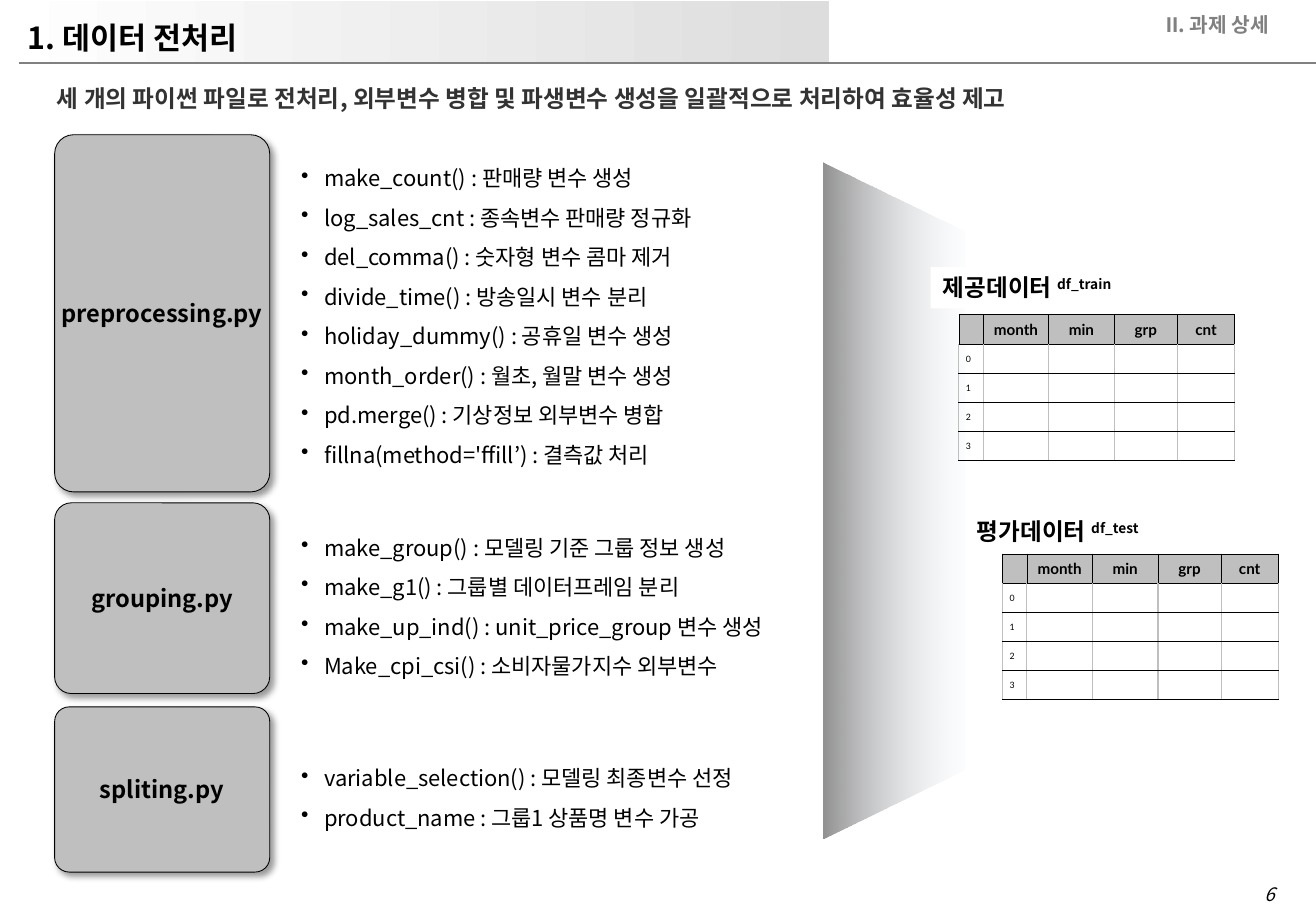
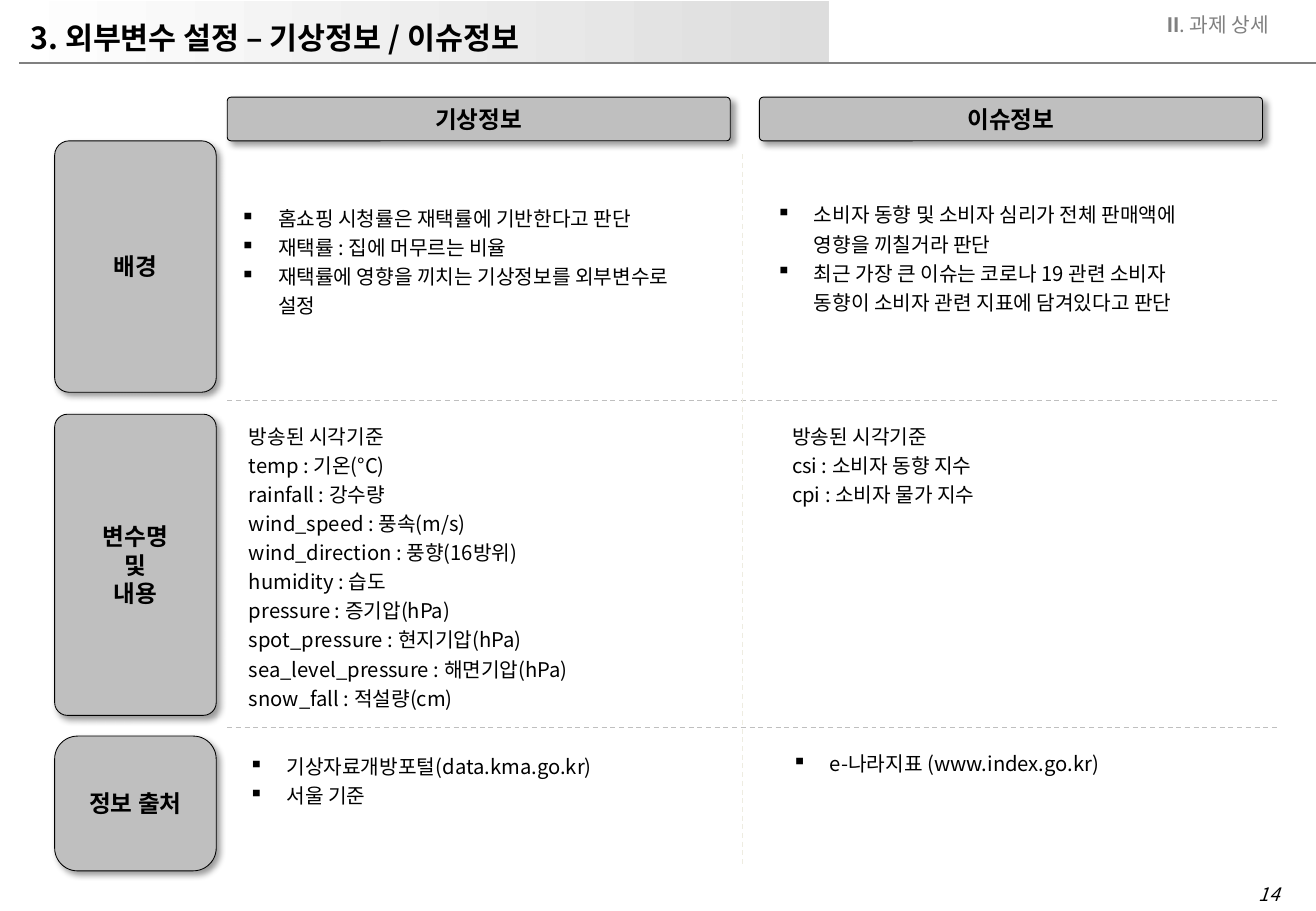
from lxml.etree import SubElement
from pptx import Presentation
from pptx.dml.color import RGBColor
from pptx.enum.dml import MSO_LINE
from pptx.enum.shapes import MSO_CONNECTOR, MSO_SHAPE as Preset
from pptx.enum.text import MSO_ANCHOR as Anchor, MSO_AUTO_SIZE as AutoSize, PP_ALIGN as Align
from pptx.oxml.ns import qn
from pptx.util import Pt

PX = 9144  # 100 px to the inch
FONT, TABLE_FONT = "Noto Sans CJK KR", "Lato"
BLACK, WHITE, PANEL, RULE = "000000", "FFFFFF", "BFBFBF", "808080"
PAGE_WIDTH, PAGE_HEIGHT = 1083, 750
PANEL_LEFT = 45


def px(*lengths):
    return [length * PX for length in lengths]


def rgb(value):
    return RGBColor.from_string(value)


# Text helpers
def style_paragraph(para, size, color=BLACK, bold=False, italic=False, align=Align.LEFT,
                    spacing=None, bullet=None, indent=(0, 0), name=FONT):
    para.alignment = align
    if spacing:
        para.line_spacing = spacing
    font = para.font
    font.size, font.bold, font.italic, font.name = Pt(size), bold, italic, name
    font.color.rgb = rgb(color)
    props = para._p.get_or_add_pPr()
    defaults = props.find(qn("a:defRPr"))
    SubElement(defaults, qn("a:ea"), typeface=name)
    margin, first = px(*indent)
    props.set("marL", str(margin))
    props.set("indent", str(first))
    if bullet:
        mark = SubElement(props, qn("a:buChar"), char=bullet)
        defaults.addprevious(mark)


def write(frame, lines, size, **style):
    for index, line in enumerate(lines):
        para = frame.add_paragraph() if index else frame.paragraphs[0]
        para.add_run().text = line
        style_paragraph(para, size, **style)


def raise_span(span):
    span._r.get_or_add_rPr().set("baseline", "30000")


def add_text(page, box, lines, size, wrap=True, anchor=Anchor.TOP, **style):
    frame = page.shapes.add_textbox(*px(*box)).text_frame
    frame.word_wrap = wrap
    frame.vertical_anchor = anchor
    write(frame, lines, size, **style)
    return frame


# Shape helpers
def add_plain(page, preset, box, fill=None):
    shape = page.shapes.add_shape(preset, *px(*box))
    shape.shadow.inherit = False
    shape.line.fill.background()
    if fill:
        shape.fill.solid()
        shape.fill.fore_color.rgb = rgb(fill)
    return shape


def fill_gradient(shape, stops, angle):
    shape.fill.gradient()
    shape.fill.gradient_angle = angle
    for stop, (color, _) in zip(shape.fill.gradient_stops, stops):
        stop.color.rgb = rgb(color)
    colors = shape._element.spPr.find(qn("a:gradFill")).iter(qn("a:srgbClr"))
    for node, (_, opacity) in zip(colors, stops):
        if opacity < 100:
            SubElement(node, qn("a:alpha"), val=str(opacity * 1000))


def add_line(page, start, end, color, width, dash=None):
    line = page.shapes.add_connector(MSO_CONNECTOR.STRAIGHT, *px(*start, *end))
    line.line.color.rgb = rgb(color)
    line.line.width = Pt(width)
    if dash:
        line.line.dash_style = dash
    SubElement(line._element.spPr, qn("a:effectLst"))


def add_panel(page, box, lines, corner=0.088):
    """Grey rounded heading with a soft shadow."""
    panel = add_plain(page, Preset.ROUNDED_RECTANGLE, box, PANEL)
    panel.adjustments[0] = corner
    panel.line.color.rgb = rgb(BLACK)
    panel.line.width = Pt(0.5)
    effects = panel._element.spPr.find(qn("a:effectLst"))
    shadow = SubElement(effects, qn("a:outerShdw"), blurRad=str(Pt(4)), dist=str(Pt(3)),
                        dir="2700000", algn="tl", rotWithShape="0")
    color = SubElement(shadow, qn("a:srgbClr"), val=BLACK)
    SubElement(color, qn("a:alpha"), val="40000")
    frame = panel.text_frame
    frame.word_wrap = True
    frame.vertical_anchor = Anchor.MIDDLE
    frame.margin_left = frame.margin_right = 0
    frame.margin_top, frame.margin_bottom = px(8, 8)
    write(frame, lines, 14, bold=True, align=Align.CENTER, indent=(10, -10))


# Title band, section label and page number of every slide
def start_page(deck, title, title_left, title_width, number, bold_section):
    page = deck.slides.add_slide(deck.slide_layouts[5])
    band = add_plain(page, Preset.RECTANGLE, (0, 1, 682, 51))
    fill_gradient(band, [(WHITE, 100), ("DDDDDD", 100)], 0)
    add_line(page, (16, 52), (PAGE_WIDTH, 52), RULE, 1.5)

    holder = page.shapes.title
    holder.left, holder.top, holder.width, holder.height = px(title_left, 11, title_width, 40)
    frame = holder.text_frame
    frame.word_wrap = False
    frame.auto_size = AutoSize.NONE
    frame.vertical_anchor = Anchor.TOP
    write(frame, [title], 18, bold=True)
    page.shapes._spTree.append(holder._element)  # bring the title above the band

    add_text(page, (938, 5, 116, 30), ["𝐈𝐈. 과제 상세"], 12, wrap=False,
             color=RULE, bold=bold_section, align=Align.RIGHT)
    footer = add_text(page, (1029, 722, 31, 29), [str(number)], 11, wrap=False,
                      italic=True, align=Align.CENTER)
    footer.margin_left, footer.margin_right = px(6, 6)
    return page


# Script file with the list of its functions
def add_file_block(page, top, height, name, list_offset, items):
    add_panel(page, (PANEL_LEFT, top, 177, height), [name])
    list_box = (PANEL_LEFT + 191, top + list_offset, 452, 33 * len(items) + 6)
    add_text(page, list_box, items, 13, spacing=1.5, bullet="•", indent=(21, -19))


# Data table with its caption
def set_borders(cell, sides):
    props = cell._tc.get_or_add_tcPr()
    for side, (color, width) in sides.items():
        line = SubElement(props, qn("a:ln" + side), w=str(Pt(width)))
        fill = SubElement(line, qn("a:solidFill"))
        SubElement(fill, qn("a:srgbClr"), val=color)


def add_data_table(page, left, top):
    widths = [20, 54, 54, 52, 47]
    rows = [["", "month", "min", "grp", "cnt"]] + [[str(n), "", "", "", ""] for n in range(4)]
    row_height = 24
    table = page.shapes.add_table(len(rows), len(widths), *px(
        left, top, sum(widths), row_height * len(rows))).table
    table.first_row = table.horz_banding = False
    for column, width in zip(table.columns, widths):
        column.width = width * PX
    thin, pale = (BLACK, 0.25), (PANEL, 0.75)
    for row_index, row in enumerate(rows):
        table.rows[row_index].height = row_height * PX
        header = row_index == 0
        side = thin if header else pale
        for column_index, text in enumerate(row):
            cell = table.cell(row_index, column_index)
            inset = 0 if header or not text else 4
            cell.margin_left, cell.margin_top, cell.margin_right, cell.margin_bottom = px(
                0, inset, inset, 0)
            cell.vertical_anchor = Anchor.MIDDLE
            set_borders(cell, {"L": side, "R": side, "T": thin, "B": thin})
            if header:
                cell.fill.solid()
                cell.fill.fore_color.rgb = rgb(PANEL)
            else:
                cell.fill.background()
            para = cell.text_frame.paragraphs[0]
            style_paragraph(para, 9, bold=header, align=Align.CENTER, name=TABLE_FONT)
            if text:
                span = para.add_run()
                span.text = text
                if not header:
                    raise_span(span)
            else:
                SubElement(para._p, qn("a:endParaRPr"), sz="900")


def add_caption(page, box, label, variable):
    frame = add_plain(page, Preset.RECTANGLE, box, WHITE).text_frame
    frame.word_wrap = False
    frame.vertical_anchor = Anchor.TOP
    write(frame, [label + " "], 14, bold=True)
    span = frame.paragraphs[0].add_run()
    span.text = variable
    raise_span(span)


def build_preprocessing(deck):
    page = start_page(deck, "1. 데이터 전처리", 13, 220, 6, True)
    add_text(page, (37, 60, 1031, 40),
             ["세 개의 파이썬 파일로 전처리, 외부변수 병합 및 파생변수 생성을 일괄적으로 처리하여 효율성 제고"],
             14, anchor=Anchor.MIDDLE, color="333333", bold=True, spacing=1.1)
    add_file_block(page, 111, 294, "preprocessing.py", 9, [
        "make_count() : 판매량 변수 생성", "log_sales_cnt : 종속변수 판매량 정규화",
        "del_comma() : 숫자형 변수 콤마 제거", "divide_time() : 방송일시 변수 분리",
        "holiday_dummy() : 공휴일 변수 생성", "month_order() : 월초, 월말 변수 생성",
        "pd.merge() : 기상정보 외부변수 병합", "fillna(method='ffill’) : 결측값 처리"])
    add_file_block(page, 414, 157, "grouping.py", 10, [
        "make_group() : 모델링 기준 그룹 정보 생성", "make_g1() : 그룹별 데이터프레임 분리",
        "make_up_ind() : unit_price_group 변수 생성", "Make_cpi_csi() : 소비자물가지수 외부변수"])
    add_file_block(page, 582, 136, "spliting.py", 32, [
        "variable_selection() : 모델링 최종변수 선정", "product_name : 그룹1 상품명 변수 가공"])

    # Funnel from the files to the data
    funnel = add_plain(page, Preset.TRAPEZOID, (457, 354, 557, 116))
    funnel.adjustments[0] = 0.49
    funnel.rotation = 90
    fill_gradient(funnel, [(BLACK, 43), ("E1E8F5", 9)], 90)

    add_data_table(page, 789, 259)
    add_data_table(page, 825, 456)
    add_caption(page, (766, 220, 174, 34), "제공데이터", "df_train")
    add_caption(page, (794, 421, 168, 34), "평가데이터", "df_test")


def build_external(deck):
    page = start_page(deck, "3. 외부변수 설정 – 기상정보 / 이슈정보", 15, 472, 14, False)

    # Row and column headings
    for top, height, corner, lines in [(116, 207, 0.09, ["배경"]),
                                       (341, 248, 0.08, ["변수명", "및", "내용"]),
                                       (606, 111, 0.17, ["정보 출처"])]:
        add_panel(page, (PANEL_LEFT, top, 133, height), lines, corner)
    for left, heading in [(187, "기상정보"), (625, "이슈정보")]:
        add_panel(page, (left, 80, 414, 36), [heading])

    # Dividers
    for y in (330, 599):
        add_line(page, (187, y), (1053, y), PANEL, 0.75, MSO_LINE.DASH)
    add_line(page, (611, 127), (611, 711), "EEECE1", 0.75, MSO_LINE.DASH)

    # Cell texts: left, top, height, bulleted, lines
    cells = [
        (188, 161, 172, True, [
            "홈쇼핑 시청률은 재택률에 기반한다고 판단", "재택률 : 집에 머무르는 비율",
            "재택률에 영향을 끼치는 기상정보를 외부변수로 설정"]),
        (629, 158, 172, True, [
            "소비자 동향 및 소비자 심리가 전체 판매액에 영향을 끼칠거라 판단",
            "최근 가장 큰 이슈는 코로나 19 관련 소비자 동향이 소비자 관련 지표에 담겨있다고 판단"]),
        (195, 340, 251, False, [
            "방송된 시각기준", "temp : 기온(°C)", "rainfall : 강수량", "wind_speed : 풍속(m/s)",
            "wind_direction : 풍향(16방위)", "humidity : 습도", "pressure : 증기압(hPa)",
            "spot_pressure : 현지기압(hPa)", "sea_level_pressure : 해면기압(hPa)",
            "snow_fall : 적설량(cm)"]),
        (642, 340, 172, False, [
            "방송된 시각기준", "csi : 소비자 동향 지수", "cpi : 소비자 물가 지수"]),
        (195, 612, 101, True, ["기상자료개방포털(data.kma.go.kr)", "서울 기준"]),
        (642, 610, 101, True, ["e-나라지표 (www.index.go.kr)"]),
    ]
    for left, top, height, bulleted, lines in cells:
        marks = {"bullet": "▪", "indent": (31, -31)} if bulleted else {}
        add_text(page, (left, top, 379, height), lines, 12, spacing=1.2, **marks)


def main():
    deck = Presentation()
    deck.slide_width, deck.slide_height = px(PAGE_WIDTH, PAGE_HEIGHT)
    build_preprocessing(deck)
    build_external(deck)
    deck.save("out.pptx")


if __name__ == "__main__":
    main()
